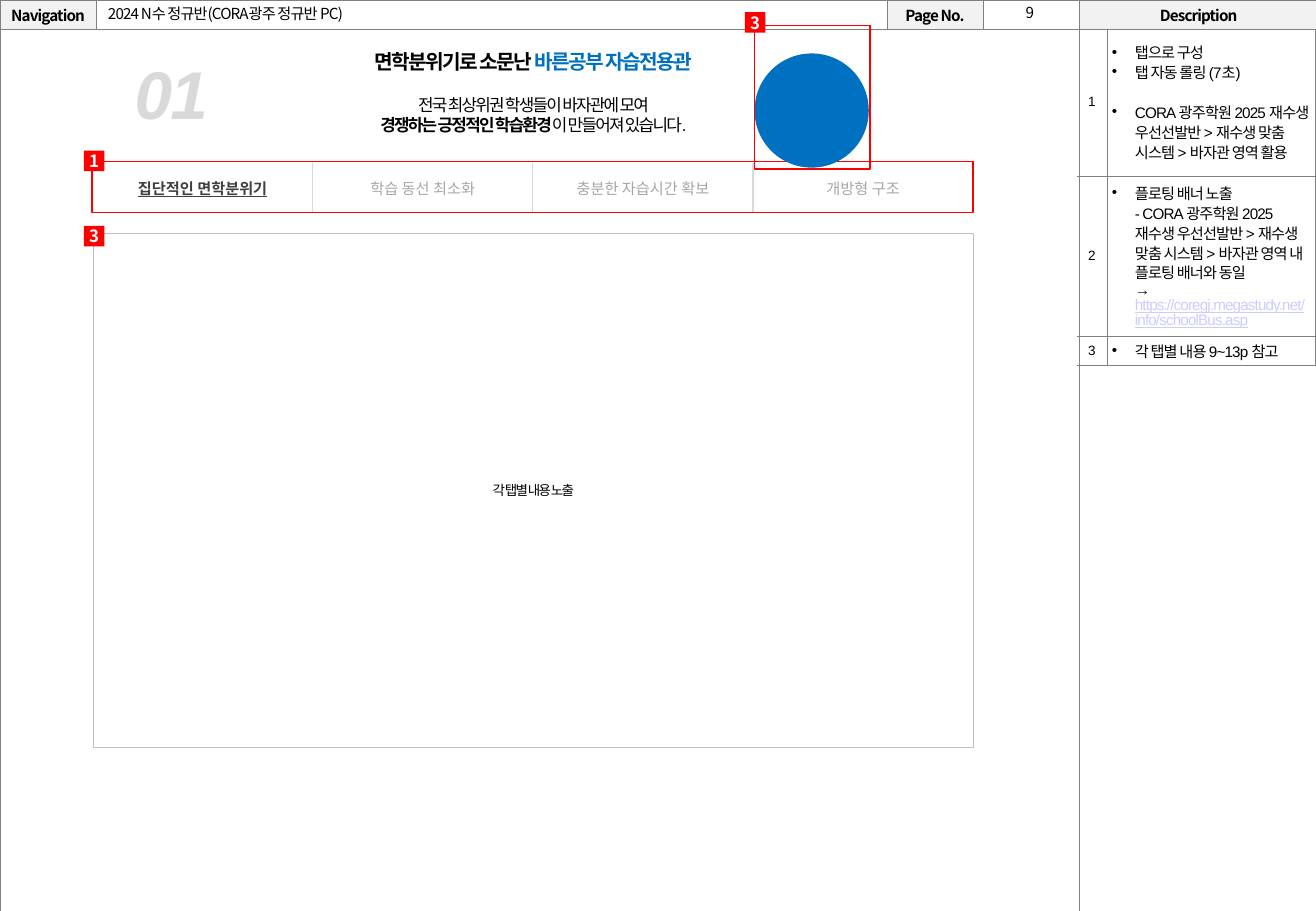
from lxml import etree
from pptx import Presentation
from pptx.dml.color import RGBColor
from pptx.enum import shapes, text
from pptx.oxml.ns import qn
from pptx.util import Inches, Pt

COLORS = {
    "black": "000000", "white": "FFFFFF", "header": "F2F2F2", "grid": "808080",
    "frame": "BFBFBF", "number": "D9D9D9", "active": "404040", "muted": "A6A6A6",
    "blue": "0070C0", "red": "FF0000", "link": "CCCCFF",
}
KR = "Noto Sans CJK KR"
STYLES = {
    "header": dict(size=9, name=KR, bold=True, spc=-50),
    "nav": dict(size=9, name=KR, spc=-50),
    "index": dict(size=8, spc=-100),
    "note": dict(size=9, spc=-50),
    "link": dict(size=9, spc=-50, color="link", underline=True),
    "body": dict(size=8, spc=-100),
    "headline": dict(size=12, bold=True, spc=-100),
    "headline_blue": dict(size=12, bold=True, spc=-100, color="blue"),
    "sub": dict(size=10, spc=-100),
    "sub_bold": dict(size=10, bold=True, spc=-100),
    "number": dict(size=40, bold=True, italic=True, spc=-100, color="number"),
    "tab_on": dict(size=9, name="DejaVu Sans", bold=True, underline=True, color="active"),
    "tab": dict(size=9, name="DejaVu Sans", color="muted"),
    "tag": dict(size=10, name=KR, bold=True, color="white"),
}
HEADERS = ["Navigation", "", "Page No.", "", "Description"]
HEADER_WIDTHS = [0.79, 6.51, 0.79, 0.79, 1.97]
PAGE_TITLE = "2024 N수 정규반(CORA광주 정규반 PC)"
NOTES = [
    (1.21, [
        ("탭으로 구성", "note", True, 0),
        ("탭 자동 롤링 (7초)", "note", True, 0),
        ("CORA 광주학원 2025 재수생 우선선발반 > 재수생 맞춤 시스템 > 바자관 영역 활용", "note", True, 12),
    ]),
    (1.32, [
        ("플로팅 배너 노출", "note", True, 0),
        ("- CORA 광주학원 2025 재수생 우선선발반 > 재수생 맞춤 시스템 > 바자관 영역 내 플로팅 배너와 동일", "note", False, 0),
        ("→", "note", False, 0),
        ("https://coregj.megastudy.net/info/schoolBus.asp", "link", False, 0),
    ]),
    (0.24, [("각 탭별 내용 9~13p 참고", "note", True, 0)]),
]
HEADLINE = [
    ([("면학분위기로 소문난 ", "headline"), ("바른공부 자습전용관", "headline_blue")], 0),
    ([("전국 최상위권 학생들이 바자관에 모여", "sub")], 12),
    ([("경쟁하는 긍정적인 학습환경", "sub_bold"), ("이 만들어져 있습니다.", "sub")], 0),
]
TABS = ["집단적인 면학분위기", "학습 동선 최소화", "충분한 자습시간 확보", "개방형 구조"]
TAGS = [("1", 0.69, 1.24), ("3", 0.69, 1.86), ("3", 6.13, 0.1)]
CENTER = text.PP_ALIGN.CENTER
MIDDLE = text.MSO_ANCHOR.MIDDLE

prs = Presentation()
prs.slide_width, prs.slide_height = Inches(10.83), Inches(7.5)
s = prs.slides.add_slide(prs.slide_layouts[6])


def rgb(name):
    return RGBColor.from_string(COLORS[name])


def write(p, runs, align=None, before=0, spacing=None):
    for attr, value in dict(alignment=align, line_spacing=spacing, space_before=Pt(before)).items():
        setattr(p, attr, value)
    for words, style in runs:
        r = p.add_run()
        r.text = words
        fmt = {"name": "Arial", "color": "black", "bold": False, **STYLES[style]}
        r.font.color.rgb = rgb(fmt.pop("color"))
        rPr = r._r.get_or_add_rPr()
        rPr.set("spc", str(fmt.pop("spc", 0)))
        fmt["size"] = Pt(fmt["size"])
        for attr, value in fmt.items():
            setattr(r.font, attr, value)
        etree.SubElement(rPr, qn("a:ea")).set("typeface", KR)


def set_margins(box, x, y):
    for side, value in zip(("left", "right", "top", "bottom"), (x, x, y, y)):
        setattr(box, "margin_" + side, Inches(value))


def indent(p, bullet):
    pPr = p._p.get_or_add_pPr()
    pPr.set("marL", str(Inches(0.19)))
    pPr.set("indent", str(Inches(-0.19 if bullet else 0)))
    if bullet:
        etree.SubElement(pPr, qn("a:buFont")).set("typeface", "Arial")
        etree.SubElement(pPr, qn("a:buChar")).set("char", "•")


def add_text(x, y, w, h, paragraphs, align=None, anchor=text.MSO_ANCHOR.TOP):
    tf = s.shapes.add_textbox(*map(Inches, (x, y, w, h))).text_frame
    tf.word_wrap, tf.vertical_anchor = True, anchor
    for i, (runs, before) in enumerate(paragraphs):
        write(tf.add_paragraph() if i else tf.paragraphs[0], runs, align, before)


def add_box(x, y, w, h, fill=None, line=None, width=1, kind=shapes.MSO_SHAPE.RECTANGLE):
    sp = s.shapes.add_shape(kind, *map(Inches, (x, y, w, h)))
    sp.shadow.inherit = False
    for part, color in ((sp.fill, fill), (sp.line.fill, line)):
        if color:
            part.solid()
            part.fore_color.rgb = rgb(color)
        else:
            part.background()
    if line:
        sp.line.width = Pt(width)
    return sp


def label(sp, words, style):
    tf = sp.text_frame
    set_margins(tf, 0, 0)
    tf.word_wrap, tf.vertical_anchor = False, MIDDLE
    write(tf.paragraphs[0], [(words, style)], CENTER)


def add_table(x, y, widths, heights):
    frame = s.shapes.add_table(len(heights), len(widths), *map(Inches, (x, y, sum(widths), sum(heights))))
    table = frame.table
    table.first_row = table.horz_banding = False
    for lines, attr, sizes in ((table.columns, "width", widths), (table.rows, "height", heights)):
        for line, size in zip(lines, sizes):
            setattr(line, attr, Inches(size))
    return table


def format_cell(cell, sides, color, width, fill=None, margin=0.0):
    tcPr = cell._tc.get_or_add_tcPr()
    for side in "LRTB":
        ln = etree.SubElement(tcPr, qn("a:ln" + side), w=str(Pt(width)))
        if side in sides:
            solid = etree.SubElement(ln, qn("a:solidFill"))
            etree.SubElement(solid, qn("a:srgbClr"), val=COLORS[color])
        else:
            etree.SubElement(ln, qn("a:noFill"))
    if fill:
        cell.fill.solid()
        cell.fill.fore_color.rgb = rgb(fill)
    else:
        cell.fill.background()
    cell.vertical_anchor = MIDDLE
    set_margins(cell, margin, margin)
    return cell.text_frame


page = add_table(0, 0, HEADER_WIDTHS, [0.24, 7.27])
page.cell(1, 0).merge(page.cell(1, 3))
for row in range(2):
    for col, words in enumerate(HEADERS):
        titled = row == 0 and words
        tf = format_cell(page.cell(row, col), "LRTB", "grid", 0.25, "header" if titled else "white")
        p = tf.paragraphs[0]
        if titled:
            write(p, [(words, "header")], CENTER)
        else:
            etree.SubElement(p._p, qn("a:endParaRPr")).set("sz", "900")

add_text(8.09, -0.02, 0.77, 0.25, [([("9", "nav")], 0)], CENTER)
add_text(0.79, 0, 6.52, 0.23, [([(PAGE_TITLE, "nav")], 0)], anchor=MIDDLE)

notes = add_table(8.86, 0.24, [0.25, 1.71], [height for height, _ in NOTES])
for row, (_, items) in enumerate(NOTES):
    tf = format_cell(notes.cell(row, 0), "RTB", "grid", 0.25, margin=0.04)
    write(tf.paragraphs[0], [(str(row + 1), "index")], CENTER, spacing=0.9)
    tf = format_cell(notes.cell(row, 1), "LRTB", "grid", 0.25, margin=0.04)
    for i, (words, style, bullet, before) in enumerate(items):
        p = tf.add_paragraph() if i else tf.paragraphs[0]
        write(p, [(words, style)], before=before, spacing=0.9)
        indent(p, bullet)

label(add_box(0.77, 1.92, 7.24, 4.23, "white", "frame", 0.25), "각 탭별 내용 노출", "body")
add_text(0.77, 0.36, 7.24, 0.81, HEADLINE, CENTER)
add_text(1.01, 0.38, 0.87, 0.77, [([("01", "number")], 0)])

tabs = add_table(0.76, 1.34, [7.25 / len(TABS)] * len(TABS), [0.41])
for col, words in enumerate(TABS):
    tf = format_cell(tabs.cell(0, col), "LR", "number", 1, margin=0.05)
    write(tf.paragraphs[0], [(words, "tab" if col else "tab_on")], CENTER)

add_box(0.76, 1.33, 7.25, 0.42, line="red")
add_box(6.21, 0.44, 0.94, 0.94, "blue", kind=shapes.MSO_SHAPE.OVAL)
add_box(6.21, 0.21, 0.95, 1.18, line="red")
for words, x, y in TAGS:
    label(add_box(x, y, 0.17, 0.17, "red"), words, "tag")

prs.save("out.pptx")
